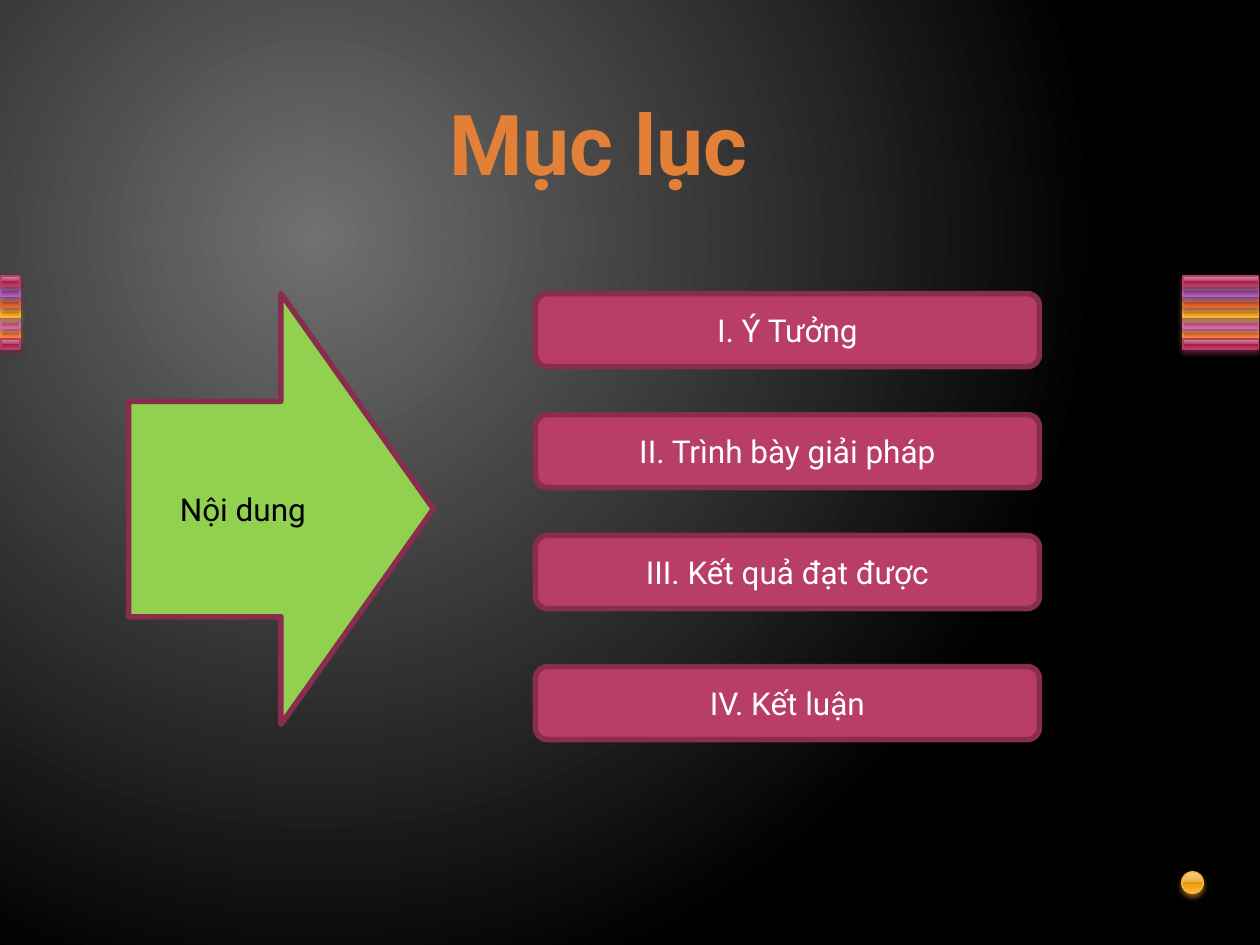
from lxml.etree import SubElement
from pptx import Presentation
from pptx.dml.color import RGBColor
from pptx.enum.shapes import MSO_SHAPE as Shape
from pptx.enum.text import MSO_ANCHOR as Anchor, PP_ALIGN as Align
from pptx.oxml.ns import qn
from pptx.util import Inches, Pt

FONT = "Roboto"
BERRY, DARK_BERRY, GREEN = "B83D68", "882D4D", "92D050"
STOPS = (0, 49, 49, 92, 100)
# gradient colours, line, shadow
GLOSS = {
    "berry": ("CE94A2 B34869 A61749 C13764 CA5D7C", BERRY, "722640"),
    "violet": ("C6A2D0 A666B4 8F3EA1 AD5DBF BA76CA", "AC66BB", "6A3F73"),
    "rust": ("E7A493 D66B42 CC4809 E9642C F07B55", "DE6C36", "894321"),
    "amber": ("FBCC93 EFAE43 E59807 FFB432 FFBE5F", "F9B639", "9A7023"),
    "pink": ("DDA4C1 C66B9D B34181 D361A0 DC79AE", "CF6DA4", "804365"),
    "orange": ("FBB494 F08745 E5670B FF8736 FF9961", "FA8D3D", "9A5726"),
}

deck = Presentation()
deck.slide_width, deck.slide_height = Inches(10), Inches(7.5)
page = deck.slides.add_slide(deck.slide_layouts[6])


def set_gradient(fill, element, positions, colours, angle=None):
    """Give a fill a linear gradient, or a round one when angle is None."""
    fill.gradient()
    grad = next(element.iter(qn("a:gradFill")))
    for child in list(grad):
        grad.remove(child)
    stops = SubElement(grad, qn("a:gsLst"))
    for position, colour in zip(positions, colours):
        stop = SubElement(stops, qn("a:gs"), pos=str(position * 1000))
        SubElement(stop, qn("a:srgbClr"), val=colour)
    if angle is None:
        circle = SubElement(grad, qn("a:path"), path="circle")
        SubElement(circle, qn("a:fillToRect"),
                   l="50000", t="50000", r="100000", b="100000")
    else:
        SubElement(grad, qn("a:lin"), ang=str(angle * 60000), scaled="0")


def add_figure(kind, area, line, width, text="", colour="FFFFFF"):
    """Add an outlined preset shape with optional centred text."""
    shape = page.shapes.add_shape(kind, *map(Inches, area))
    shape.shadow.inherit = False
    shape.line.color.rgb = RGBColor.from_string(line)
    shape.line.width = Pt(width)
    if text:
        shape.text_frame.vertical_anchor = Anchor.MIDDLE
        para = shape.text_frame.paragraphs[0]
        para.alignment = Align.CENTER
        span = para.add_run()
        span.text = text
        for name, value in {"name": FONT, "size": Pt(18)}.items():
            setattr(span.font, name, value)
        span.font.color.rgb = RGBColor.from_string(colour)
    return shape


set_gradient(page.background.fill, page.element, (0, 100), ("707070", "000000"))

# Striped bands at both edges and the dot, back to front
band_order = [(5, "orange"), (4, "pink"), (3, "amber"), (2, "rust"),
              (1, "violet"), (0, "berry"), (6, "berry")]
glossy = [(Shape.RECTANGLE, (left, 2.19 + row * 0.5 / 6, width, 0.08), tone)
          for left, width in ((0.01, 0.15), (9.39, 0.6))
          for row, tone in band_order]
glossy.append((Shape.OVAL, (9.38, 6.92, 0.17, 0.17), "amber"))
for kind, area, tone in glossy:
    colours, line, shade = GLOSS[tone]
    figure = add_figure(kind, area, line, 0.9)
    set_gradient(figure.fill, figure.element, STOPS, colours.split(), 90)
    effects = next(figure.element.iter(qn("a:effectLst")))
    shadow = SubElement(effects, qn("a:outerShdw"), blurRad=str(Pt(3.1)),
                        dist=str(Pt(2)), dir="5400000", rotWithShape="0")
    tint = SubElement(shadow, qn("a:srgbClr"), val=shade)
    SubElement(tint, qn("a:alpha"), val="83000")

# Title
box = page.shapes.add_textbox(*map(Inches, (0.25, 0.5, 9, 1.25)))
box.text_frame.word_wrap = True
box.text_frame.vertical_anchor = Anchor.MIDDLE
para = box.text_frame.paragraphs[0]
para.alignment = Align.CENTER
span = para.add_run()
span.text = "Mục lục"
for name, value in {"name": FONT, "size": Pt(48), "bold": True}.items():
    setattr(span.font, name, value)
set_gradient(span.font.fill, box.element, (40, 45), ("E38037", "FA8D3D"), 270)

# Arrow and contents
arrow = add_figure(Shape.RIGHT_ARROW, (1.02, 2.33, 2.42, 3.42), DARK_BERRY,
                   3.15, "Nội dung", "000000")
arrow.fill.solid()
arrow.fill.fore_color.rgb = RGBColor.from_string(GREEN)

for top, text in ((2.33, "I. Ý Tưởng"), (3.29, "II. Trình bày giải pháp"),
                  (4.25, "III. Kết quả đạt được"), (5.29, "IV. Kết luận")):
    entry = add_figure(Shape.ROUNDED_RECTANGLE, (4.25, top, 4, 0.58),
                       DARK_BERRY, 3.15, text)
    entry.fill.solid()
    entry.fill.fore_color.rgb = RGBColor.from_string(BERRY)

deck.save("out.pptx")
